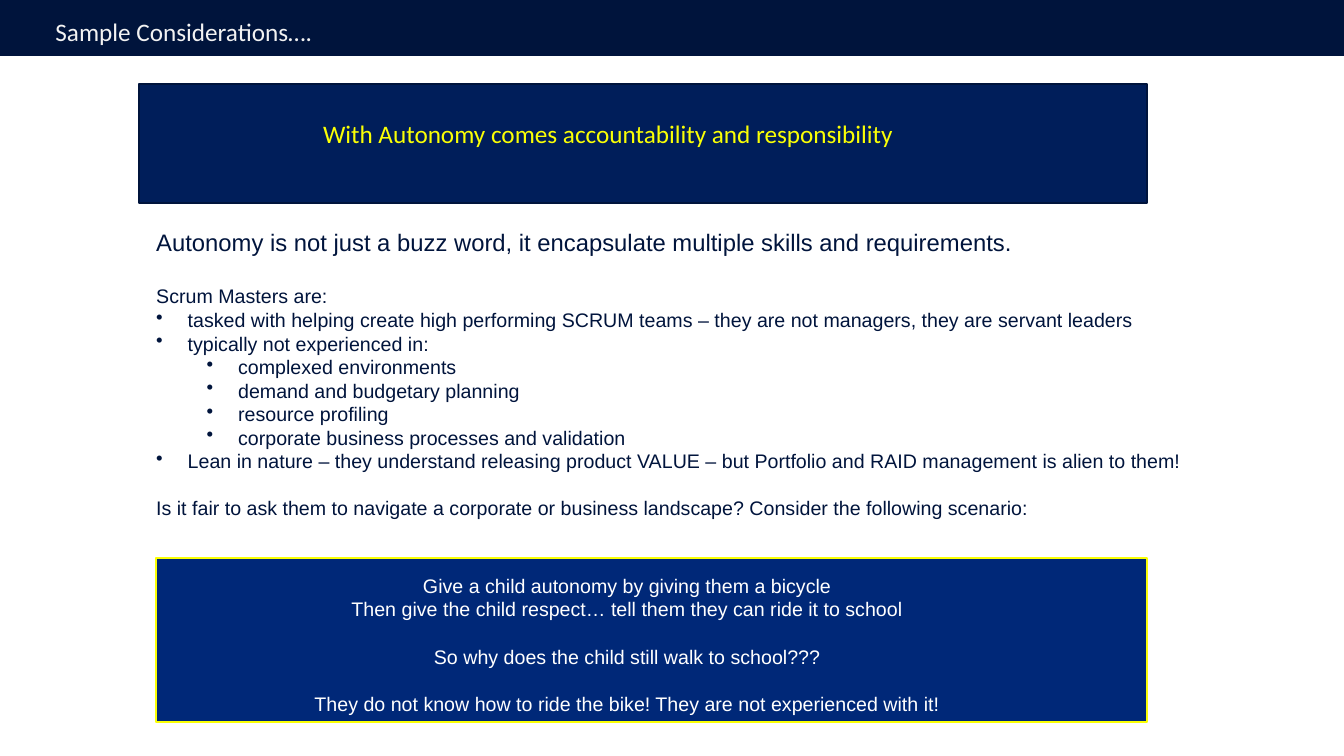
import pptx
import pptx.dml.color
import pptx.enum.shapes
import pptx.enum.text
import pptx.oxml.ns
import pptx.util
from dataclasses import dataclass
from lxml import etree

Pt = pptx.util.Pt
ALIGN = pptx.enum.text.PP_ALIGN


@dataclass(frozen=True)
class Theme:
    navy: str = "00143C"
    banner: str = "001E5A"
    scenario: str = "002878"
    yellow: str = "FAFF05"
    white: str = "FFFFFF"
    heading: str = "F2F2F2"
    heading_size: float = 18
    lead_size: float = 17
    body_size: float = 14
    heading_font: str = "Calibri"
    body_font: str = "Arial"


THEME = Theme()
BULLET_INDENT = 22.5
LEVEL_STEP = 36
BLANK_LINE = 16.8

CONSIDERATIONS = [
    ("Autonomy is not just a buzz word, it encapsulate multiple skills and requirements.", None, 0),
    ("Scrum Masters are:", None, 20),
    ("tasked with helping create high performing SCRUM teams – they are not managers, they are servant leaders", 0, 0),
    ("typically not experienced in:", 0, 0),
    ("complexed environments", 1, 0),
    ("demand and budgetary planning", 1, 0),
    ("resource profiling", 1, 0),
    ("corporate business processes and validation", 1, 0),
    ("Lean in nature – they understand releasing product VALUE – but Portfolio and RAID management is alien to them!", 0, 0),
    ("Is it fair to ask them to navigate a corporate or business landscape? Consider the following scenario:", None, BLANK_LINE),
]
SCENARIO = [
    ("Give a child autonomy by giving them a bicycle", 0),
    ("Then give the child respect… tell them they can ride it to school", 0),
    ("So why does the child still walk to school???", BLANK_LINE),
    ("They do not know how to ride the bike! They are not experienced with it!", BLANK_LINE),
]


def rgb(value):
    return pptx.dml.color.RGBColor.from_string(value)


def apply(target, formats):
    for name, value in formats.items():
        setattr(target, name, value)


def add_panel(slide, box, fill, line=None):
    panel = slide.shapes.add_shape(
        pptx.enum.shapes.MSO_SHAPE.RECTANGLE, *map(Pt, box))
    panel.shadow.inherit = False
    panel.fill.solid()
    panel.fill.fore_color.rgb = rgb(fill)
    if line:
        panel.line.color.rgb = rgb(line)
        panel.line.width = Pt(1.5)
    else:
        panel.line.fill.background()
    return panel


def format_frame(frame, inset_x=0, inset_y=0):
    apply(frame, {
        "word_wrap": True,
        "auto_size": pptx.enum.text.MSO_AUTO_SIZE.NONE,
        "vertical_anchor": pptx.enum.text.MSO_ANCHOR.TOP,
        "margin_left": Pt(inset_x), "margin_right": Pt(inset_x),
        "margin_top": Pt(inset_y), "margin_bottom": Pt(inset_y),
    })


def add_frame(slide, box, inset_x=0, inset_y=0):
    frame = slide.shapes.add_textbox(*map(Pt, box)).text_frame
    format_frame(frame, inset_x, inset_y)
    return frame


def write(paragraph, text, size, font, color, align=ALIGN.LEFT, gap=0):
    paragraph.text = text
    apply(paragraph, {"alignment": align, "space_before": Pt(gap)})
    apply(paragraph.font, {"size": Pt(size), "name": font, "bold": False})
    paragraph.font.color.rgb = rgb(color)


def add_bullet(paragraph, level):
    paragraph.level = level
    properties = paragraph._p.get_or_add_pPr()
    properties.set("marL", str(Pt(BULLET_INDENT + LEVEL_STEP * level)))
    properties.set("indent", str(-Pt(BULLET_INDENT)))
    mark = etree.SubElement(properties, pptx.oxml.ns.qn("a:buChar"))
    mark.set("char", "•")


def next_paragraph(frame, index):
    return frame.add_paragraph() if index else frame.paragraphs[0]


def build_header(slide, box):
    left, top, width, height = box
    title = slide.shapes.title
    bar = add_panel(slide, box, THEME.navy)
    title.element.addprevious(bar.element)
    apply(title, {"left": Pt(left + 32.4), "top": Pt(top + 8),
                  "width": Pt(width - 64.8), "height": Pt(height - 11)})
    format_frame(title.text_frame, 7.2, 3.6)
    write(title.text_frame.paragraphs[0], "Sample Considerations….",
          THEME.heading_size, THEME.heading_font, THEME.heading)


def build_banner(slide, box):
    left, top, width, height = box
    add_panel(slide, box, THEME.banner, THEME.navy)
    frame = add_frame(slide, (left - 51, top + 21, width + 52, 29), 7.2, 3.6)
    write(frame.paragraphs[0], "With Autonomy comes accountability and responsibility",
          THEME.heading_size, THEME.heading_font, THEME.yellow, ALIGN.CENTER)


def build_considerations(slide, box):
    frame = add_frame(slide, box)
    for index, (text, level, gap) in enumerate(CONSIDERATIONS):
        paragraph = next_paragraph(frame, index)
        if level is not None:
            add_bullet(paragraph, level)
        size = THEME.body_size if index else THEME.lead_size
        write(paragraph, text, size, THEME.body_font, THEME.navy, gap=gap)


def build_scenario(slide, box):
    left, top, width, height = box
    add_panel(slide, box, THEME.scenario, THEME.yellow)
    frame = add_frame(slide, (left + 101, top + 11, 471, height - 11))
    for index, (text, gap) in enumerate(SCENARIO):
        write(next_paragraph(frame, index), text, THEME.body_size,
              THEME.body_font, THEME.white, ALIGN.CENTER, gap)


def main():
    deck = pptx.Presentation()
    apply(deck, {"slide_width": Pt(960), "slide_height": Pt(540)})
    slide = deck.slides.add_slide(deck.slide_layouts.get_by_name("Title Only"))
    build_header(slide, (0, 0, 960, 40))
    build_banner(slide, (99.4, 59.8, 720, 85))
    build_considerations(slide, (111.6, 162.7, 745, 212))
    build_scenario(slide, (111.6, 398.9, 707.8, 116.6))
    deck.save("out.pptx")


if __name__ == "__main__":
    main()
